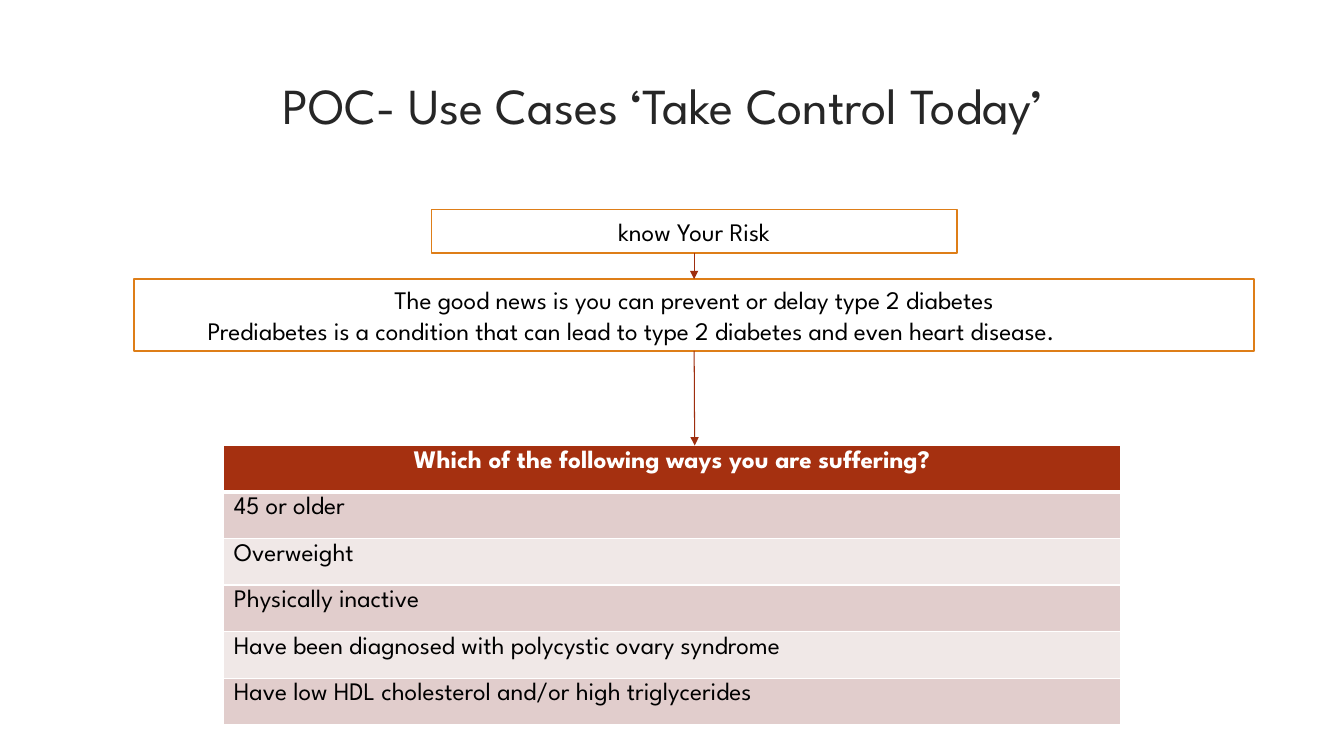
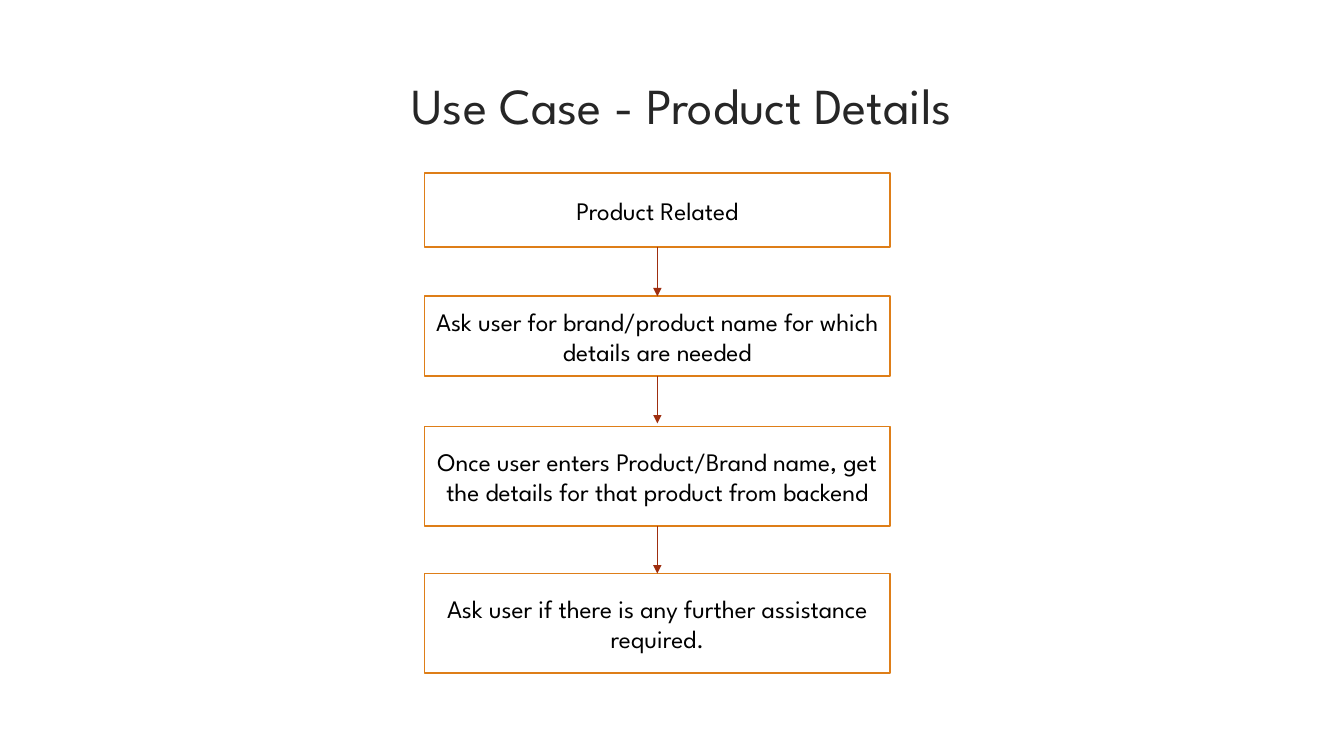
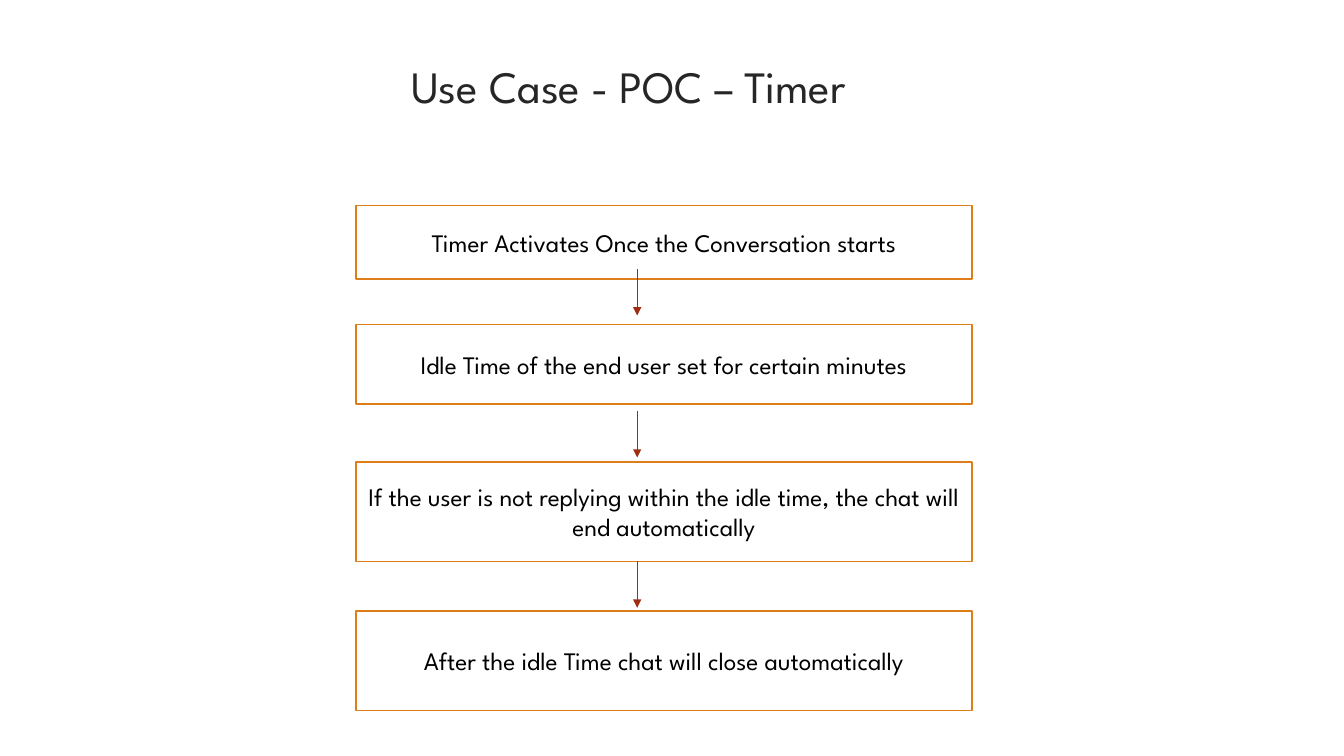
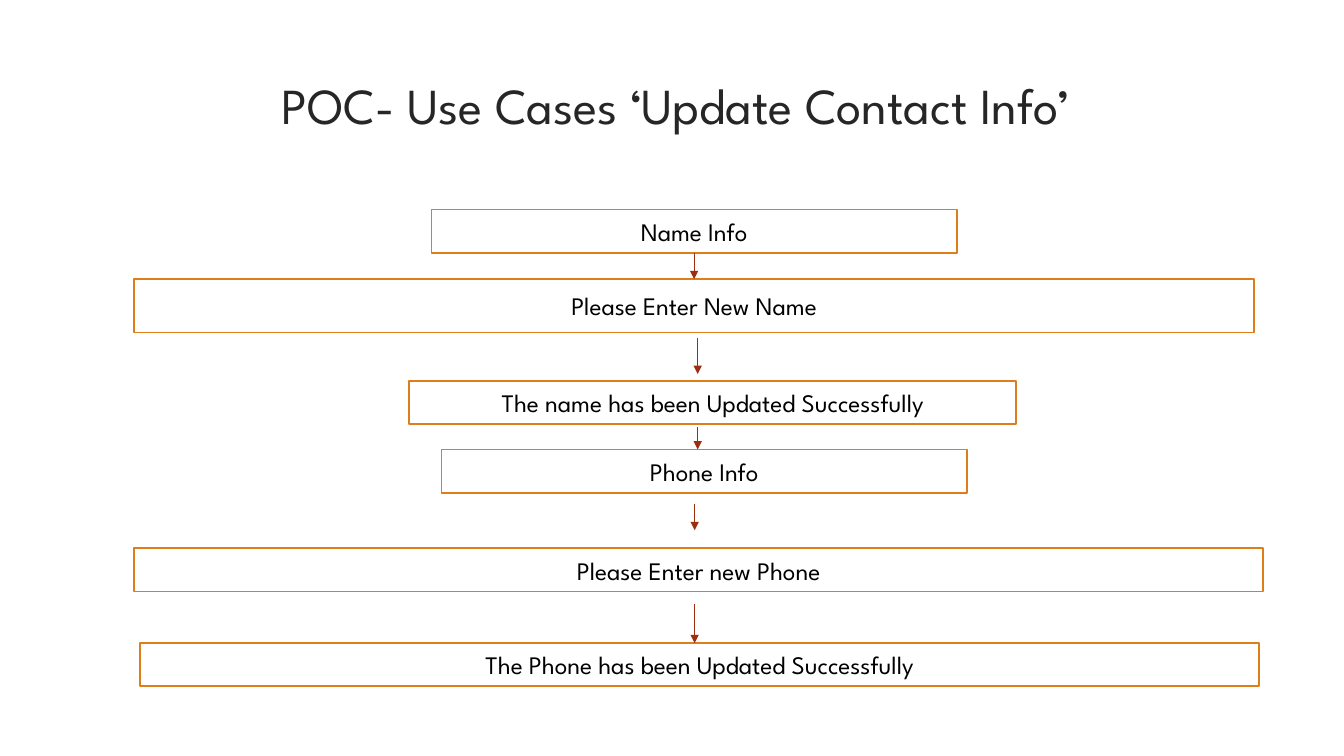
from dataclasses import dataclass

from lxml import etree
from pptx import Presentation
from pptx.dml.color import RGBColor
from pptx.enum.shapes import MSO_CONNECTOR, MSO_SHAPE
from pptx.enum.text import MSO_ANCHOR, PP_ALIGN
from pptx.oxml.ns import qn
from pptx.util import Inches, Pt

RECTANGLE = MSO_SHAPE.RECTANGLE
STRAIGHT = MSO_CONNECTOR.STRAIGHT
LEFT, CENTER = PP_ALIGN.LEFT, PP_ALIGN.CENTER
TOP, MIDDLE = MSO_ANCHOR.TOP, MSO_ANCHOR.MIDDLE
BOTTOM_SITE, TOP_SITE = 2, 0


@dataclass(frozen=True)
class Theme:
    font: str = "League Spartan"
    heading: str = "262626"
    ink: str = "000000"
    paper: str = "FFFFFF"
    outline: str = "DE7E18"
    arrow: str = "9E2E0F"
    header: str = "A53010"
    bands: tuple = ("E1CDCC", "F0E8E7")
    title_size: int = 36
    small_title_size: int = 32
    body_size: int = 18
    outline_width: float = 1.25
    arrow_width: float = 0.75
    grid_width: int = 1
    header_rule: int = 3


THEME = Theme()
SLIDE_WIDTH, SLIDE_HEIGHT = 13.33, 7.5
JOIN_TOLERANCE = 0.02

NARROW, WIDE = (4.28, 5.21), (1.33, 11.11)
PRODUCT, TIMER = (4.21, 4.62), (3.53, 6.11)
TITLE_TOP, TITLE_WIDTH, TITLE_HEIGHT = 0.69, 11.63, 0.96
CELL_SIDE_MARGIN, CELL_TOP_MARGIN = 0.1, 0.05

RISK_TABLE = {
    "area": (2.22, 4.42, 8.89, 2.77),
    "rows": [
        "Which of the following ways you are suffering?",
        "45 or older",
        "Overweight",
        "Physically inactive",
        "Have been diagnosed with polycystic ovary syndrome",
        "Have low HDL cholesterol and/or high triglycerides",
    ],
}

SLIDES = [
    {
        "title": {"text": "POC- Use Cases ‘Take Control Today’", "left": 0.76},
        "steps": [
            ("know Your Risk", NARROW, 2.08, 0.43),
            ([("The good news is you can prevent or delay type 2 diabetes", CENTER, 0),
              ("Prediabetes is a condition that can lead to type 2 diabetes and even heart disease.",
               LEFT, 0.63)], WIDE, 2.77, 0.71),
        ],
        "arrows": [(6.89, 2.51, 2.77), (6.89, 3.48, 4.42)],
        "table": RISK_TABLE,
    },
    {
        "title": {"text": "Use Case - Product Details", "left": 0.95},
        "steps": [
            ("Product Related", PRODUCT, 1.72, 0.73),
            ("Ask user for brand/product name for which details are needed", PRODUCT, 2.94, 0.79),
            ("Once user enters Product/Brand name, get the details for that product from backend",
             PRODUCT, 4.23, 0.99),
            ("Ask user if there is any further assistance required.", PRODUCT, 5.69, 0.99),
        ],
        "arrows": [(6.52, 2.46, 2.93), (6.52, 3.73, 4.2), (6.52, 5.22, 5.69)],
    },
    {
        "title": {"text": "Use Case - POC – Timer", "left": 3.98, "top": 0.53, "width": 8.82,
                  "size": THEME.small_title_size, "align": LEFT},
        "steps": [
            ("Timer Activates Once the Conversation starts", TIMER, 2.04, 0.73),
            ("Idle Time of the end user set for certain minutes", TIMER, 3.22, 0.79),
            ("If the user is not replying within the idle time, the chat will end automatically",
             TIMER, 4.58, 0.99),
            ("After the idle Time chat will close automatically", TIMER, 6.06, 0.99),
        ],
        "arrows": [(6.32, 2.67, 3.13), (6.32, 4.08, 4.54), (6.32, 5.57, 6.03)],
    },
    {
        "title": {"text": "POC- Use Cases ‘Update Contact Info’", "left": 0.89},
        "steps": [
            ("Name Info", NARROW, 2.08, 0.43),
            ("Please Enter New Name", WIDE, 2.77, 0.53),
            ("The name has been Updated Successfully", (4.06, 6.02), 3.78, 0.43),
            ("Phone Info", (4.38, 5.21), 4.46, 0.43),
            ("Please Enter new Phone", (1.33, 11.2), 5.44, 0.43),
            ("The Phone has been Updated Successfully", (1.39, 11.1), 6.38, 0.43),
        ],
        "arrows": [(6.89, 2.51, 2.77), (6.92, 3.35, 3.71), (6.92, 4.24, 4.46),
                   (6.89, 5, 5.26), (6.89, 5.99, 6.38)],
    },
]


def rgb(value):
    return RGBColor.from_string(value)


def write(frame, text, size=THEME.body_size, color=THEME.ink, align=CENTER, anchor=MIDDLE,
          bold=False):
    frame.word_wrap = True
    frame.vertical_anchor = anchor
    lines = [(text, align, 0)] if isinstance(text, str) else text
    for index, (line, line_align, indent) in enumerate(lines):
        paragraph = frame.add_paragraph() if index else frame.paragraphs[0]
        paragraph.alignment = line_align
        if indent:
            paragraph._p.get_or_add_pPr().set("marL", str(Inches(indent)))
        run = paragraph.add_run()
        run.text = line
        run.font.name = THEME.font
        run.font.size = Pt(size)
        run.font.bold = bold
        run.font.color.rgb = rgb(color)


def add_title(slide, text, left, top=TITLE_TOP, width=TITLE_WIDTH, size=THEME.title_size,
              align=CENTER):
    heading = slide.shapes.add_textbox(*map(Inches, (left, top, width, TITLE_HEIGHT)))
    write(heading.text_frame, text, size=size, color=THEME.heading, align=align, anchor=TOP)


def add_step(slide, text, column, top, height):
    left, width = column
    step = slide.shapes.add_shape(RECTANGLE, *map(Inches, (left, top, width, height)))
    step.shadow.inherit = False
    step.fill.solid()
    step.fill.fore_color.rgb = rgb(THEME.paper)
    step.line.color.rgb = rgb(THEME.outline)
    step.line.width = Pt(THEME.outline_width)
    write(step.text_frame, text)
    return step


def near(a, b):
    return abs(a - b) <= Inches(JOIN_TOLERANCE)


def add_arrow(slide, steps, x, start, end):
    x, start, end = map(Inches, (x, start, end))
    arrow = slide.shapes.add_connector(STRAIGHT, x, start, x, end)
    arrow.line.color.rgb = rgb(THEME.arrow)
    arrow.line.width = Pt(THEME.arrow_width)
    etree.SubElement(arrow.line._get_or_add_ln(), qn("a:tailEnd"), type="triangle")
    etree.SubElement(arrow._element.spPr, qn("a:effectLst"))
    for step in steps:
        if near(x, step.left + step.width // 2):
            if near(start, step.top + step.height):
                arrow.begin_connect(step, BOTTOM_SITE)
            if near(end, step.top):
                arrow.end_connect(step, TOP_SITE)


def add_borders(cell, bottom):
    properties = cell._tc.get_or_add_tcPr()
    widths = {"lnL": THEME.grid_width, "lnR": THEME.grid_width,
              "lnT": THEME.grid_width, "lnB": bottom}
    for side, width in widths.items():
        border = etree.SubElement(properties, qn(f"a:{side}"), w=str(Pt(width)))
        fill = etree.SubElement(border, qn("a:solidFill"))
        etree.SubElement(fill, qn("a:srgbClr"), val=THEME.paper)


def add_risk_table(slide, area, rows):
    table = slide.shapes.add_table(len(rows), 1, *map(Inches, area)).table
    for index, text in enumerate(rows):
        is_header = index == 0
        table.rows[index].height = Inches(area[3] / len(rows))
        cell = table.cell(index, 0)
        cell.margin_left = cell.margin_right = Inches(CELL_SIDE_MARGIN)
        cell.margin_top = cell.margin_bottom = Inches(CELL_TOP_MARGIN)
        add_borders(cell, THEME.header_rule if is_header else THEME.grid_width)
        cell.fill.solid()
        cell.fill.fore_color.rgb = rgb(THEME.header if is_header else THEME.bands[(index - 1) % 2])
        write(cell.text_frame, text, color=THEME.paper if is_header else THEME.ink,
              align=CENTER if is_header else LEFT, anchor=TOP, bold=is_header)


def main():
    deck = Presentation()
    deck.slide_width, deck.slide_height = Inches(SLIDE_WIDTH), Inches(SLIDE_HEIGHT)
    blank = deck.slide_layouts[6]
    for content in SLIDES:
        slide = deck.slides.add_slide(blank)
        add_title(slide, **content["title"])
        steps = [add_step(slide, *step) for step in content["steps"]]
        if "table" in content:
            add_risk_table(slide, **content["table"])
        for arrow in content["arrows"]:
            add_arrow(slide, steps, *arrow)
    deck.save("out.pptx")


if __name__ == "__main__":
    main()
